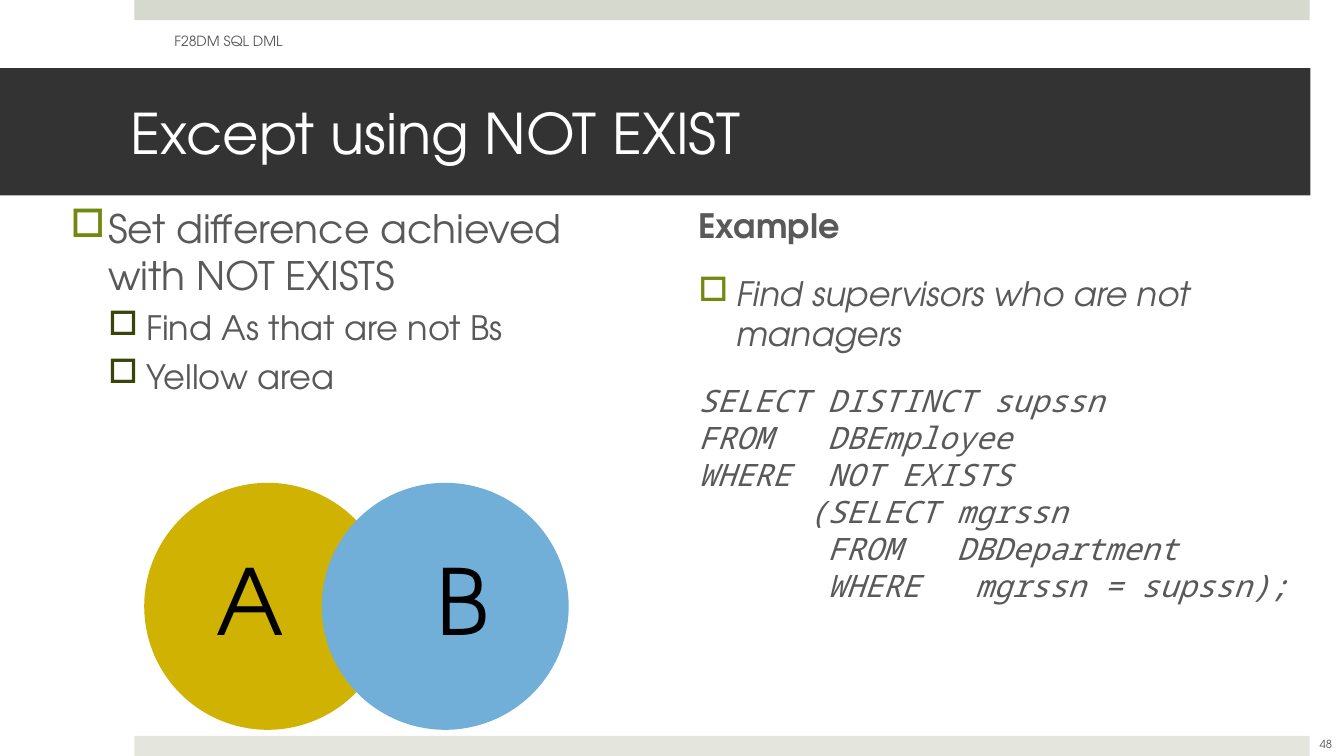
import pptx
import pptx.util
import pptx.dml.color
import pptx.enum.shapes
import pptx.enum.text
import lxml.etree

Pt = pptx.util.Pt
RGBColor = pptx.dml.color.RGBColor
SHAPE = pptx.enum.shapes.MSO_SHAPE
ALIGN = pptx.enum.text.PP_ALIGN
ANCHOR = pptx.enum.text.MSO_ANCHOR

SAGE = RGBColor(0xD6, 0xD9, 0xCD)
PALE_SAGE = RGBColor(0xE4, 0xE6, 0xDE)
CHARCOAL = RGBColor(0x33, 0x33, 0x33)
WHITE = RGBColor(0xFF, 0xFF, 0xFF)
BLACK = RGBColor(0, 0, 0)
GREY = RGBColor(0x59, 0x59, 0x59)
GREEN = RGBColor(0x6F, 0x8A, 0x0F)
DARK_GREEN = RGBColor(0x38, 0x45, 0x08)
YELLOW = RGBColor(0xCF, 0xB2, 0x02)
BLUE = RGBColor(0x71, 0xAF, 0xD9)

SANS = "TeX Gyre Adventor"
MONO = "Noto Sans Mono"
CODE = """SELECT DISTINCT supssn
FROM   DBEmployee
WHERE  NOT EXISTS
      (SELECT mgrssn
       FROM   DBDepartment
       WHERE   mgrssn = supssn);"""


def write(box, text, size=24, color=GREY, font=SANS, bold=False, italic=False,
          align=ALIGN.LEFT, before=0, bullet=None, indent=0, line=None):
    frame = box.text_frame
    para = frame.paragraphs[0]
    if para.runs:
        para = frame.add_paragraph()
    para.alignment = align
    para.space_before = Pt(before)
    if line:
        para.line_spacing = line
    if bullet:
        props = para._p.get_or_add_pPr()
        props.set("marL", str(Pt(indent)))
        props.set("indent", str(-Pt(27)))
        namespace = pptx.oxml.ns.qn("a:buClr")
        bullet_color = lxml.etree.SubElement(props, namespace)
        lxml.etree.SubElement(bullet_color, pptx.oxml.ns.qn("a:srgbClr"), val=str(bullet))
        lxml.etree.SubElement(props, pptx.oxml.ns.qn("a:buChar"), char="□")
    for number, row in enumerate(text.split("\n")):
        if number:
            para.add_line_break()
        span = para.add_run()
        span.text = row
        span.font.name = font
        span.font.size = Pt(size)
        span.font.color.rgb = color
        span.font.bold = bold
        span.font.italic = italic


def add_box(page, left, top, width, height, shape=None, fill=None, anchor=ANCHOR.TOP,
            margins=(7.2, 3.6, 7.2, 3.6)):
    area = Pt(left), Pt(top), Pt(width), Pt(height)
    if shape is None:
        box = page.shapes.add_textbox(*area)
    else:
        box = page.shapes.add_shape(shape, *area)
        box.shadow.inherit = False
        box.fill.solid()
        box.fill.fore_color.rgb = fill
        box.line.fill.background()
    frame = box.text_frame
    frame.word_wrap = True
    frame.vertical_anchor = anchor
    (frame.margin_left, frame.margin_top,
     frame.margin_right, frame.margin_bottom) = [Pt(margin) for margin in margins]
    return box


deck = pptx.Presentation()
deck.slide_width = Pt(960)
deck.slide_height = Pt(540)
page = deck.slides.add_slide(deck.slide_layouts[6])

for top, color in ((0, SAGE), (525.6, PALE_SAGE)):
    add_box(page, 96, top, 839.5, 14.4, SHAPE.RECTANGLE, color)

title = add_box(page, 0, 48.6, 936, 91, SHAPE.RECTANGLE, CHARCOAL, ANCHOR.MIDDLE,
                (93.6, 3.6, 21.6, 3.6))
write(title, "Except using NOT EXIST", size=40, color=WHITE)

points = add_box(page, 43.2, 142.6, 423.4, 378.7)
write(points, "Set difference achieved with NOT EXISTS", size=28, bullet=GREEN, indent=27)
for text in ("Find As that are not Bs", "Yellow area"):
    write(points, text, before=6, bullet=DARK_GREEN, indent=54)

example = add_box(page, 491.8, 142.6, 444.2, 378.7)
write(example, "Example", bold=True)
write(example, "Find supervisors who are not managers", italic=True, before=20,
      bullet=GREEN, indent=27)
write(example, CODE, size=22, font=MONO, italic=True, before=20)

header = add_box(page, 117.4, 15.1, 303.8, 28.8, anchor=ANCHOR.MIDDLE)
write(header, "F28DM SQL DML", size=10)
number = add_box(page, 923, 517, 48.2, 28.8, anchor=ANCHOR.MIDDLE)
write(number, "48", size=8, align=ALIGN.CENTER)

for letter, left, color, inset_left, inset_right in (
        ("A", 103, YELLOW, 24.5, 49.7), ("B", 229.8, BLUE, 49.7, 24.5)):
    circle = add_box(page, left, 344.9, 176.4, 176.4, SHAPE.OVAL, color, ANCHOR.MIDDLE,
                     (0, 0, 0, 0))
    label = add_box(page, left, 344.9, 176.4, 176.4, anchor=ANCHOR.MIDDLE,
                    margins=(inset_left, 20.9, inset_right, 20.9))
    write(label, letter, size=65, color=BLACK, align=ALIGN.CENTER, line=0.9)

deck.save("out.pptx")
